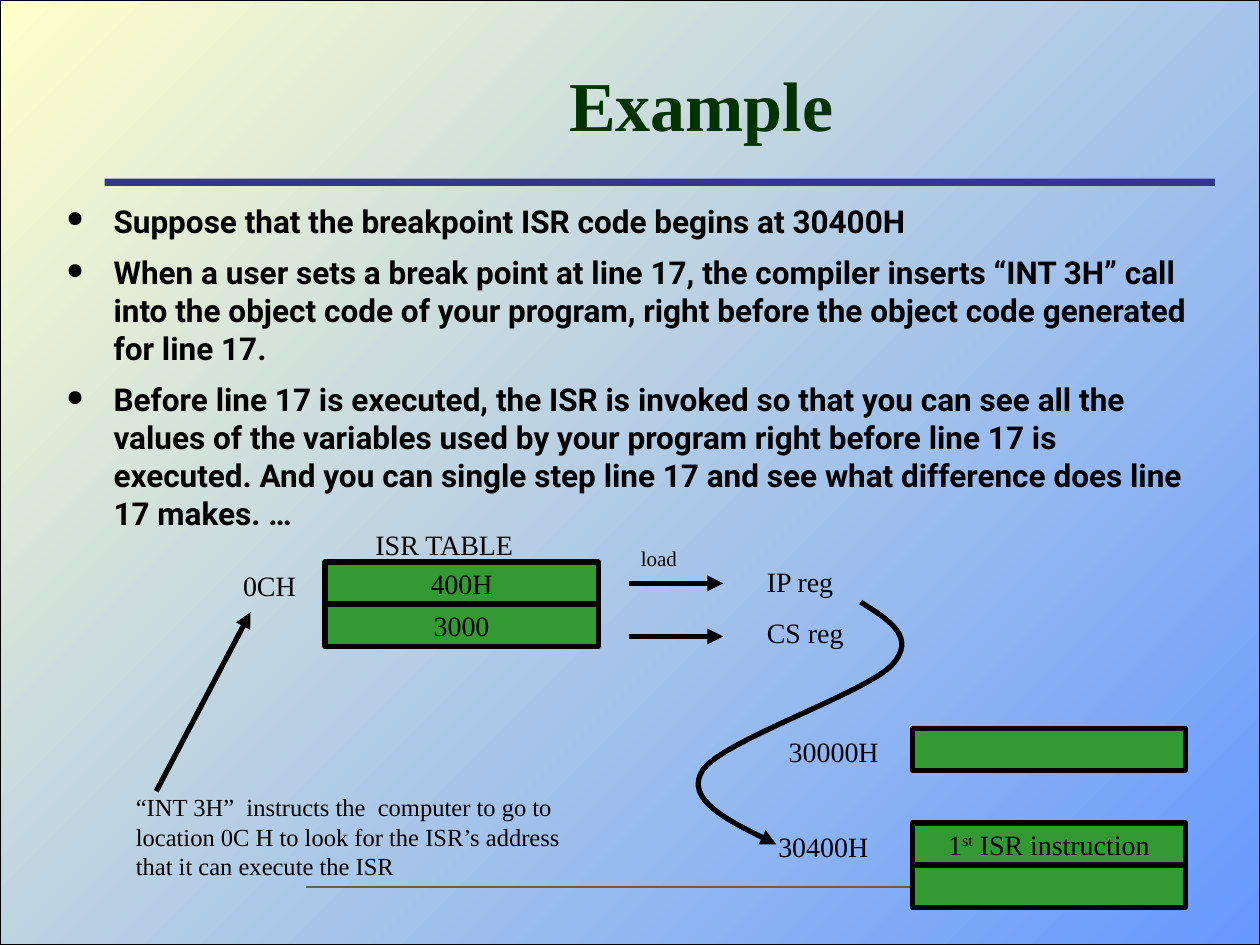
from lxml import etree
from pptx import Presentation
from pptx.dml.color import RGBColor
from pptx.enum.shapes import MSO_CONNECTOR, MSO_SHAPE
from pptx.enum.text import MSO_ANCHOR, PP_ALIGN
from pptx.oxml.ns import qn
from pptx.util import Cm, Pt

RECTANGLE = MSO_SHAPE.RECTANGLE
STRAIGHT = MSO_CONNECTOR.STRAIGHT
LEFT, CENTER = PP_ALIGN.LEFT, PP_ALIGN.CENTER
TOP, MIDDLE = MSO_ANCHOR.TOP, MSO_ANCHOR.MIDDLE
SERIF = "Times New Roman"
color = RGBColor.from_string


def write_text(shape, *texts, size=16, font="Times New Roman", fill="000000", bold=False,
               align=LEFT, anchor=TOP, wrap=True, gap=0, bullet=None):
    """Fill a shape with paragraphs; text between ^ marks is superscript."""
    frame = shape.text_frame
    frame.word_wrap = wrap
    frame.vertical_anchor = anchor
    for index, text in enumerate(texts):
        paragraph = frame.paragraphs[0] if index == 0 else frame.add_paragraph()
        paragraph.alignment = align
        paragraph.space_before = Pt(gap if index else 0)
        if bullet:
            properties = paragraph._p.get_or_add_pPr()
            properties.set("marL", str(Cm(0.95)))
            properties.set("indent", str(-Cm(0.95)))
            bullet_color = etree.SubElement(properties, qn("a:buClr"))
            etree.SubElement(bullet_color, qn("a:srgbClr"), val=fill)
            etree.SubElement(properties, qn("a:buSzPct"), val="70000")
            etree.SubElement(properties, qn("a:buChar"), char=bullet)
        for part, piece in enumerate(text.split("^")):
            run = paragraph.add_run()
            run.text = piece
            run.font.name = font
            run.font.size = Pt(size)
            run.font.bold = bold
            run.font.color.rgb = color(fill)
            if part % 2:
                run._r.get_or_add_rPr().set("baseline", "30000")


presentation = Presentation()
presentation.slide_width = Cm(25.4)
presentation.slide_height = Cm(19.05)
slide = presentation.slides.add_slide(presentation.slide_layouts[6])
shapes = slide.shapes
slide.background.fill.solid()
slide.background.fill.fore_color.rgb = color("FFFFCC")

# Gradient backdrop
backdrop = shapes.add_shape(RECTANGLE, 0, 0, presentation.slide_width, presentation.slide_height)
backdrop.shadow.inherit = False
backdrop.fill.gradient()
backdrop.fill.gradient_angle = 135
for stop, position, shade in zip(backdrop.fill.gradient_stops, (0, 1), ("6699FF", "FFFFCC")):
    stop.position = position
    stop.color.rgb = color(shade)
backdrop.line.color.rgb = color("000000")
backdrop.line.width = Pt(0.75)

# Title rule and footer rule
title_rule = shapes.add_shape(RECTANGLE, Cm(2.11), Cm(3.6), Cm(22.38), Cm(0.15))
title_rule.shadow.inherit = False
title_rule.fill.solid()
title_rule.fill.fore_color.rgb = color("333399")
title_rule.line.fill.background()

footer_rule = shapes.add_connector(STRAIGHT, Cm(6.17), Cm(17.88), Cm(20.57), Cm(17.88))
footer_rule.line.color.rgb = color("5F5F5F")
footer_rule.line.width = Pt(1.5)
etree.SubElement(footer_rule._element.spPr, qn("a:effectLst"))

# Title and bullets
title = shapes.add_textbox(Cm(3.71), Cm(0.71), Cm(20.85), Cm(2.74))
write_text(title, "Example", size=40, fill="003300", bold=True, align=CENTER, anchor=MIDDLE)

body = shapes.add_textbox(Cm(1.09), Cm(3.94), Cm(23.16), Cm(7.8))
write_text(
    body,
    "Suppose that the breakpoint ISR code begins at 30400H",
    "When a user sets a break point at line 17, the compiler inserts “INT 3H” call into the "
    "object code of your program, right before the object code generated for line 17.",
    "Before line 17 is executed, the ISR is invoked so that you can see all the values of the "
    "variables used by your program right before line 17 is executed. And you can single step "
    "line 17 and see what difference does line 17 makes. …",
    size=18, font="Roboto", bold=True, gap=7.9, bullet="●")

# Memory cells: the ISR table and the ISR code
cell_height = 0.85
for left, top, contents in (
    (6.55, 11.33, ("400H", "3000")),
    (18.39, 14.68, ("",)),
    (18.39, 16.59, ("1^st^ ISR instruction", "")),
):
    for row, content in enumerate(contents):
        cell = shapes.add_shape(RECTANGLE, Cm(left), Cm(top + row * cell_height),
                                Cm(5.51), Cm(cell_height))
        cell.shadow.inherit = False
        cell.fill.solid()
        cell.fill.fore_color.rgb = color("339933")
        cell.line.color.rgb = color("000000")
        cell.line.width = Pt(3)
        if content:
            write_text(cell, content, align=CENTER, anchor=MIDDLE, wrap=False)

# Labels
for left, top, width, height, size, texts in (
    (4.65, 11.33, 2.34, 0.94, 16, ["0CH"]),
    (15.44, 16.59, 2.74, 0.94, 16, ["30400H"]),
    (15.65, 14.68, 2.74, 0.94, 16, ["30000H"]),
    (15.21, 11.25, 2.74, 1.96, 16, ["IP reg", "CS reg"]),
    (7.32, 10.52, 5.36, 0.94, 16, ["ISR TABLE"]),
    (12.67, 10.87, 1.47, 0.76, 12, ["load"]),
    (2.49, 15.85, 9.53, 2.03, 14,
     ["“INT 3H”  instructs the  computer to go to location 0C H to look for the ISR’s address "
      "that it can execute the ISR"]),
):
    label = shapes.add_textbox(Cm(left), Cm(top), Cm(width), Cm(height))
    write_text(label, *texts, size=size, font=SERIF, gap=10)

# Straight arrows: table to registers, and note to table entry
arrows = [
    shapes.add_connector(STRAIGHT, Cm(x1), Cm(y1), Cm(x2), Cm(y2))
    for x1, y1, x2, y2 in (
        (12.67, 11.76, 14.58, 11.76),
        (12.67, 12.83, 14.58, 12.83),
        (3.15, 15.95, 5.05, 12.34),
    )
]

# Curved arrow from the registers to the ISR code, traced along Bezier curves
steps = 16
start = (17.35, 12.14)
points = []
for control1, control2, end in (
    ((17.93, 12.5), (18.49, 12.85), (17.98, 13.41)),
    ((17.45, 13.97), (14.55, 14.94), (14.17, 15.52)),
    ((13.77, 16.13), (14.71, 16.56), (15.65, 17.02)),
):
    for step in range(1, steps + 1):
        t = step / steps
        weights = ((1 - t) ** 3, 3 * t * (1 - t) ** 2, 3 * t ** 2 * (1 - t), t ** 3)
        corners = (start, control1, control2, end)
        points.append(tuple(
            Cm(sum(weight * corner[axis] for weight, corner in zip(weights, corners)))
            for axis in (0, 1)))
    start = end
builder = shapes.build_freeform(Cm(17.35), Cm(12.14))
builder.add_line_segments(points, close=False)
curve = builder.convert_to_shape()
curve.fill.background()
arrows.append(curve)

# Shared arrow style
for arrow in arrows:
    arrow.line.color.rgb = color("000000")
    arrow.line.width = Pt(3)
    etree.SubElement(arrow.line._get_or_add_ln(), qn("a:tailEnd"), type="triangle")
    etree.SubElement(arrow._element.spPr, qn("a:effectLst"))

presentation.save("out.pptx")
